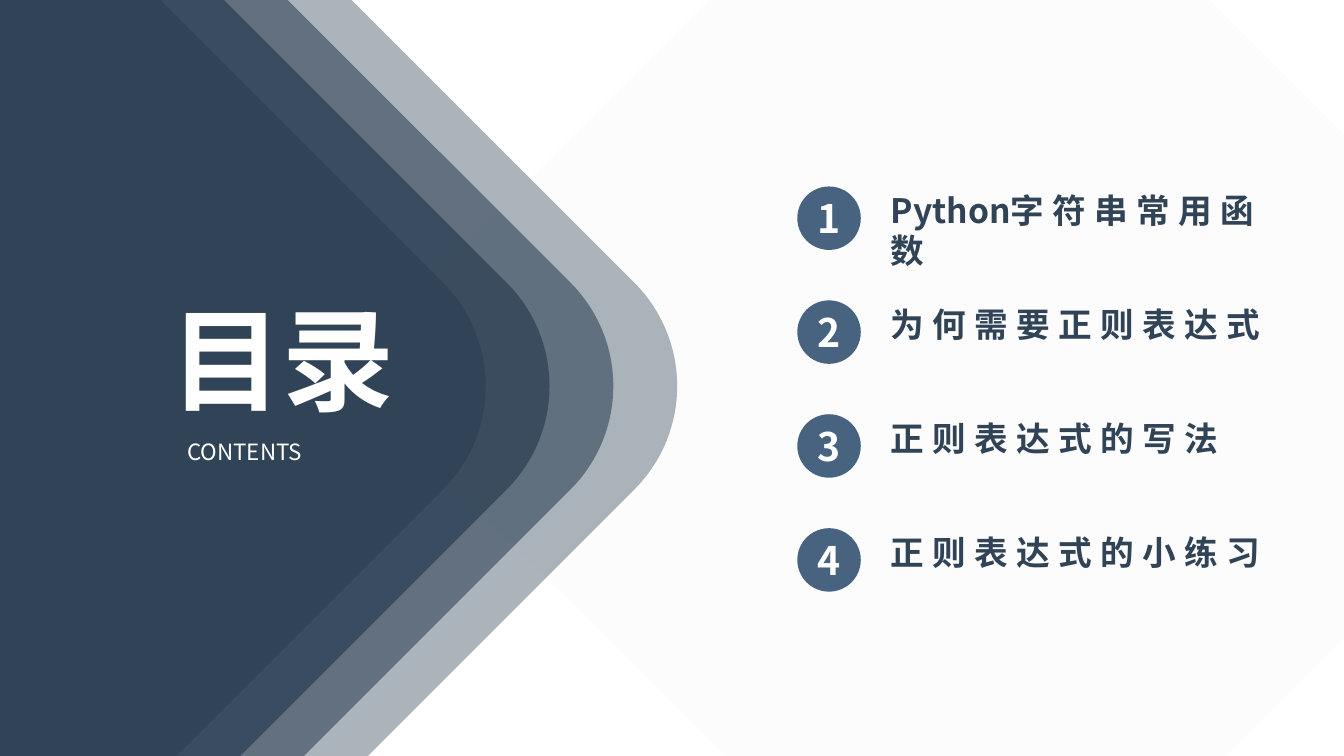
import pptx
import pptx.dml.color
import pptx.enum.shapes
import pptx.enum.text
import pptx.oxml.ns
import pptx.util
from lxml import etree

SHAPES = pptx.enum.shapes.MSO_SHAPE
ALIGN = pptx.enum.text.PP_ALIGN
ANCHOR = pptx.enum.text.MSO_ANCHOR
qn = pptx.oxml.ns.qn


def colour(hex_code):
    return pptx.dml.color.RGBColor.from_string(hex_code)


def write(paragraph, text, font="Noto Sans CJK SC", size=24, color="FFFFFF",
          bold=False, spacing=0, align=None):
    """Append a formatted run; spacing is the extra space between letters in points."""
    if align is not None:
        paragraph.alignment = align
    run = paragraph.add_run()
    run.text = text
    run.font.size = pptx.util.Pt(size)
    run.font.bold = bold
    run.font.color.rgb = colour(color)
    run.font.name = font
    properties = run.font._element
    etree.SubElement(properties, qn("a:ea")).set("typeface", font)
    if spacing:
        properties.set("spc", str(spacing * 100))


class Deck:
    """Places elements on a grid of 80 columns by 45 rows."""
    COLUMNS, ROWS = 80, 45
    NAVY, STEEL, MIST = "314457", "48637F", "F2F2F2"

    def __init__(self):
        self.presentation = pptx.Presentation()
        self.presentation.slide_width = pptx.util.Inches(13.33)
        self.presentation.slide_height = pptx.util.Inches(7.5)
        self.slide = self.presentation.slides.add_slide(self.presentation.slide_layouts[6])

    def cells(self, left, top, width, height):
        column = self.presentation.slide_width / self.COLUMNS
        row = self.presentation.slide_height / self.ROWS
        return (round(left * column), round(top * row),
                round(width * column), round(height * row))

    def shape(self, kind, box, fill, opacity=100):
        shape = self.slide.shapes.add_shape(kind, *self.cells(*box))
        shape.shadow.inherit = False
        shape.line.fill.background()
        shape.fill.solid()
        shape.fill.fore_color.rgb = colour(fill)
        if opacity < 100:
            tint = shape._element.spPr.find(qn("a:solidFill"))[0]
            etree.SubElement(tint, qn("a:alpha")).set("val", str(opacity * 1000))
        return shape

    def diamond(self, left, fill, opacity):
        """A rounded square standing on its corner."""
        box = (left, -3.6, 53.58, 52.2)
        self.shape(SHAPES.ROUNDED_RECTANGLE, box, fill, opacity).rotation = 45

    def badge(self, left, top, number):
        circle = self.shape(SHAPES.OVAL, (left, top, 3.78, 3.78), self.STEEL)
        circle.text_frame.vertical_anchor = ANCHOR.MIDDLE
        write(circle.text_frame.paragraphs[0], str(number), size=28, bold=True,
              align=ALIGN.CENTER)

    def text(self, box):
        """Add a wrapping text box and return its paragraph."""
        frame = self.slide.shapes.add_textbox(*self.cells(*box)).text_frame
        frame.word_wrap = True
        frame.auto_size = pptx.enum.text.MSO_AUTO_SIZE.SHAPE_TO_FIT_TEXT
        return frame.paragraphs[0]

    def agenda_item(self, number, latin, chinese):
        top = 11.1 + (number - 1) * 6.78
        self.badge(47.46, top, number)
        label = self.text((52.44, top - 0.1, 24.78, 3))
        if latin:
            write(label, latin, color=self.NAVY, bold=True)
        write(label, chinese, color=self.NAVY, bold=True, spacing=6)


def main():
    deck = Deck()
    deck.diamond(30.78, deck.MIST, 20)
    for layer, opacity in enumerate((40, 60, 80, 100)):
        deck.diamond(-20.28 - layer * 3.8, deck.NAVY, opacity)

    write(deck.text((9, 17, 15.6, 8.7)), "目录", size=80, bold=True, align=ALIGN.CENTER)
    write(deck.text((10.56, 25.8, 12.48, 2.22)), "CONTENTS", size=16, align=ALIGN.JUSTIFY)

    agenda = (("Python", "字符串常用函数"), ("", "为何需要正则表达式"),
              ("", "正则表达式的写法"), ("", "正则表达式的小练习"))
    for number, (latin, chinese) in enumerate(agenda, start=1):
        deck.agenda_item(number, latin, chinese)

    deck.presentation.save("out.pptx")


if __name__ == "__main__":
    main()
